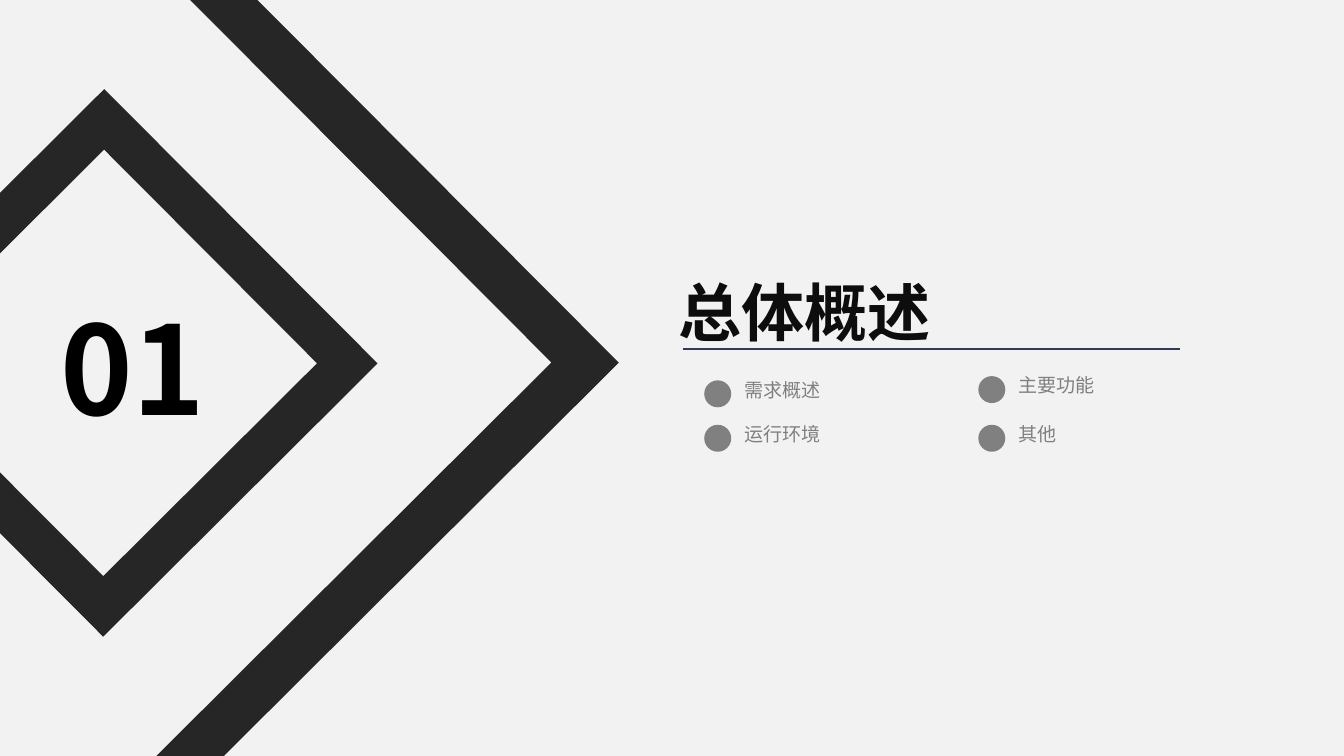
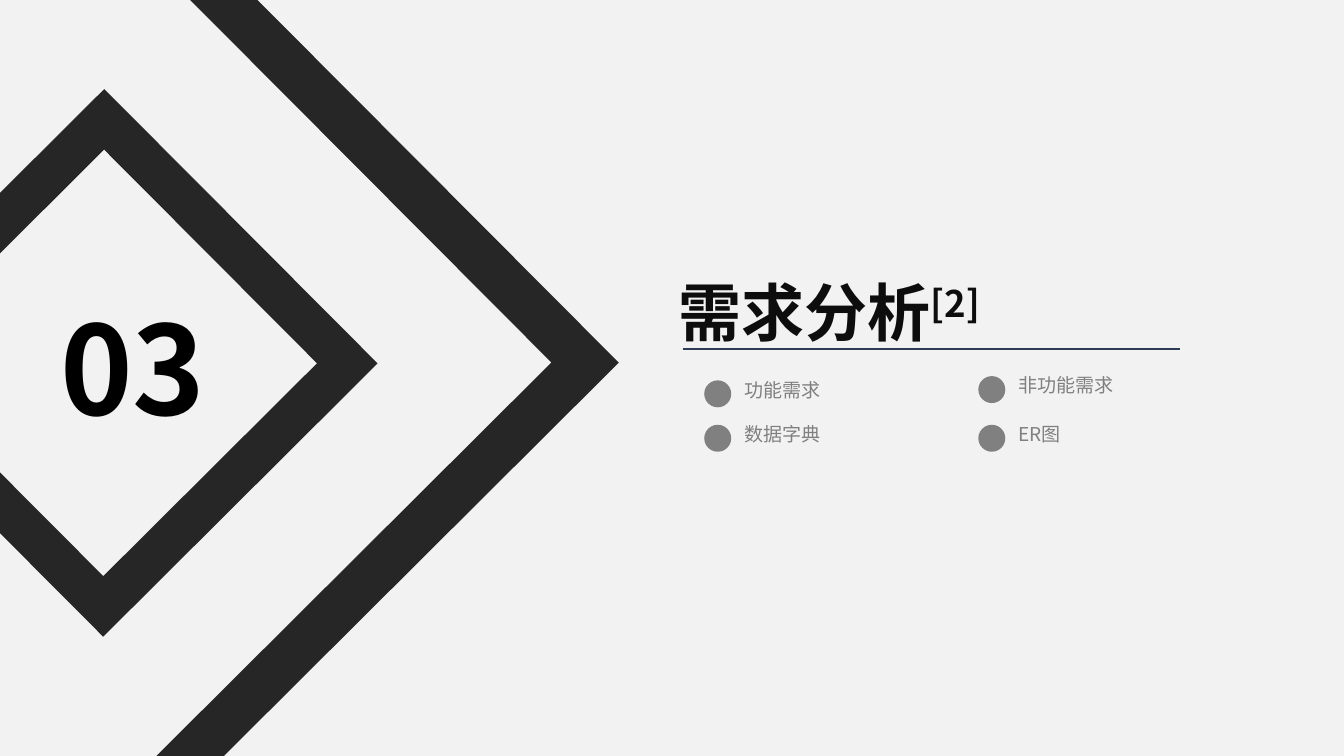
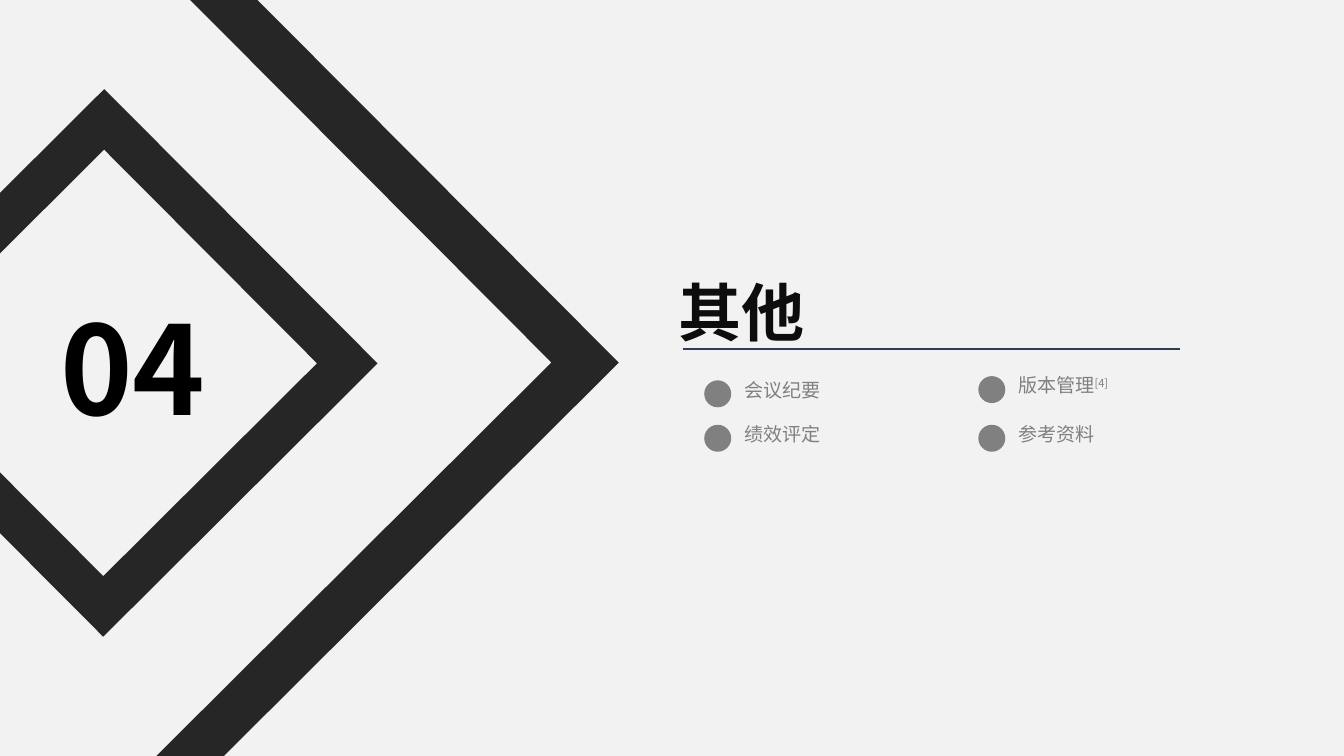
from dataclasses import dataclass

from lxml import etree
from pptx import Presentation
from pptx.dml.color import RGBColor
from pptx.enum.shapes import MSO_CONNECTOR, MSO_SHAPE
from pptx.enum.text import MSO_ANCHOR
from pptx.oxml.ns import qn
from pptx.util import Cm, Pt

STRAIGHT = MSO_CONNECTOR.STRAIGHT
OVAL = MSO_SHAPE.OVAL
RECTANGLE = MSO_SHAPE.RECTANGLE
MIDDLE = MSO_ANCHOR.MIDDLE


@dataclass(frozen=True)
class Theme:
    font: str = "Noto Sans CJK SC"
    paper: RGBColor = RGBColor(0xF2, 0xF2, 0xF2)
    band: RGBColor = RGBColor(0x26, 0x26, 0x26)
    number: RGBColor = RGBColor(0, 0, 0)
    title: RGBColor = RGBColor(0x0D, 0x0D, 0x0D)
    rule: RGBColor = RGBColor(0x2E, 0x3D, 0x54)
    topic: RGBColor = RGBColor(0x80, 0x80, 0x80)
    number_size: float = 66
    title_size: float = 33.8
    topic_size: float = 10.2


THEME = Theme()
BAND_ANGLE = 45.1
DOT_SIZE = 0.51

# Left and top of each topic's dot, and width of its label, in cm
TOPIC_SLOTS = [
    (13.31, 7.19, 4.29),
    (13.31, 8.03, 5.18),
    (18.49, 7.11, 4.65),
    (18.49, 8.03, 5.11),
]

# Number, title and topics; each text is paired with its citation mark
SECTIONS = [
    ("01", ("总体概述", ""),
     [("需求概述", ""), ("运行环境", ""), ("主要功能", ""), ("其他", "")]),
    ("03", ("需求分析", "[2]"),
     [("功能需求", ""), ("数据字典", ""), ("非功能需求", ""), ("ER图", "")]),
    ("04", ("其他", ""),
     [("会议纪要", ""), ("绩效评定", ""), ("版本管理", "[4]"), ("参考资料", "")]),
]


def paint(shape, color):
    shape.shadow.inherit = False
    shape.fill.solid()
    shape.fill.fore_color.rgb = color
    shape.line.fill.background()


def add_label(shapes, box, text, size, color, bold=False, citation=""):
    label = shapes.add_textbox(*(Cm(length) for length in box))
    frame = label.text_frame
    frame.word_wrap = True
    frame.vertical_anchor = MIDDLE
    frame.margin_left = frame.margin_right = Cm(0.25)
    frame.margin_top = 0
    frame.margin_bottom = Pt(size * 0.02)

    paragraph = frame.paragraphs[0]
    font = paragraph.font
    font.name, font.size, font.bold = THEME.font, Pt(size), bold
    font.color.rgb = color
    # East Asian characters need their own typeface entry
    defaults = paragraph._p.pPr.find(qn("a:defRPr"))
    etree.SubElement(defaults, qn("a:ea"), typeface=THEME.font)

    paragraph.add_run().text = text
    if citation:
        mark = paragraph.add_run()
        mark.text = citation
        mark._r.get_or_add_rPr().set("baseline", "30000")


def add_band(slide, left, top, contours):
    """Draw closed contours, in hundredths of a cm, turned onto a corner."""
    outline = slide.shapes.build_freeform(scale=Cm(0.01))
    for start, *corners in contours:
        outline.move_to(*start)
        outline.add_line_segments(corners, close=True)
    band = outline.convert_to_shape(Cm(left), Cm(top))
    band.rotation = BAND_ANGLE
    paint(band, THEME.band)


def add_chevron(slide, left, top, side, thickness):
    inner = side - thickness
    add_band(slide, left, top, [
        [(0, 0), (side, 0), (side, side), (inner, side),
         (inner, thickness), (0, thickness)],
    ])


def add_diamond(slide, left, top, side, thickness):
    inner = side - thickness
    add_band(slide, left, top, [
        [(0, 0), (side, 0), (side, side), (0, side)],
        [(thickness, thickness), (thickness, inner),
         (inner, inner), (inner, thickness)],
    ])


def add_title_rule(slide):
    rule = slide.shapes.add_connector(
        STRAIGHT, Cm(12.9), Cm(6.6), Cm(22.3), Cm(6.6))
    rule.line.color.rgb = THEME.rule
    rule.line.width = Pt(0.75)
    etree.SubElement(rule._element.spPr, qn("a:effectLst"))


def add_topic(slide, slot, text, citation):
    left, top, width = slot
    topic = slide.shapes.add_group_shape()
    dot = topic.shapes.add_shape(
        OVAL, Cm(left), Cm(top), Cm(DOT_SIZE), Cm(DOT_SIZE))
    paint(dot, THEME.topic)
    add_label(topic.shapes, (left + DOT_SIZE, top - 0.17, width, 0.69),
              text, THEME.topic_size, THEME.topic, citation=citation)


def add_section(prs, number, title, topics):
    slide = prs.slides.add_slide(prs.slide_layouts[6])

    # Paper
    paper = slide.shapes.add_shape(
        RECTANGLE, 0, 0, prs.slide_width, prs.slide_height)
    paint(paper, THEME.paper)

    # Heading and its topics
    heading, citation = title
    add_label(slide.shapes, (12.57, 5.05, 11.38, 1.7), heading,
              THEME.title_size, THEME.title, bold=True, citation=citation)
    add_title_rule(slide)
    for slot, topic in zip(TOPIC_SLOTS, topics):
        add_topic(slide, slot, *topic)

    # Section number inside the two bands
    add_label(slide.shapes, (0.89, 5.41, 3.38, 3.07), number,
              THEME.number_size, THEME.number, bold=True)
    add_chevron(slide, -11, -2.57, side=1880, thickness=90)
    add_diamond(slide, -1.7, 3.2, side=732, thickness=81)


def main():
    prs = Presentation()
    prs.slide_width, prs.slide_height = Cm(25.4), Cm(14.29)
    for section in SECTIONS:
        add_section(prs, *section)
    prs.save("out.pptx")


if __name__ == "__main__":
    main()
